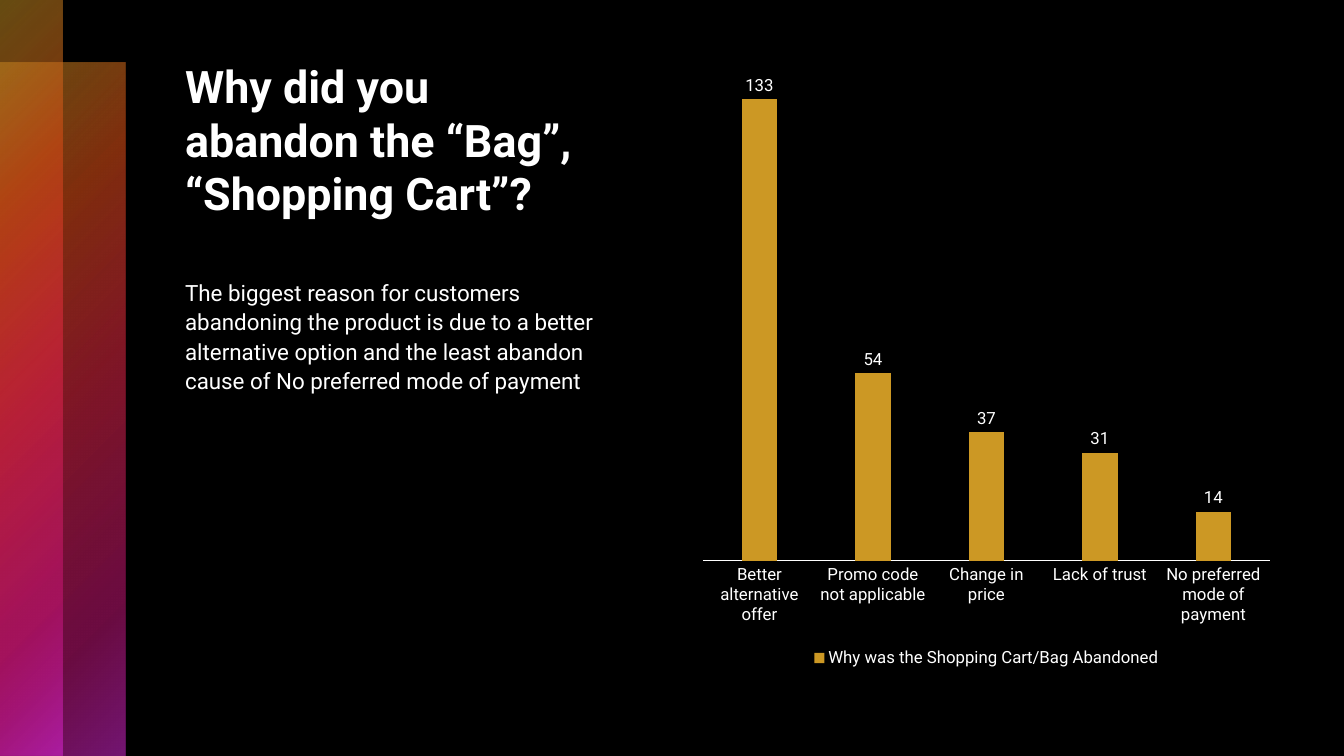
from lxml import etree
from pptx import Presentation
from pptx.chart.data import CategoryChartData
from pptx.dml.color import RGBColor
from pptx.enum.chart import XL_CHART_TYPE, XL_LABEL_POSITION, XL_LEGEND_POSITION, XL_TICK_MARK
from pptx.enum.shapes import MSO_SHAPE
from pptx.enum.text import MSO_ANCHOR, MSO_AUTO_SIZE, PP_ALIGN
from pptx.oxml.ns import qn
from pptx.util import Emu, Pt

COLUMN = XL_CHART_TYPE.COLUMN_CLUSTERED
OUTSIDE_END = XL_LABEL_POSITION.OUTSIDE_END
LEGEND_BOTTOM = XL_LEGEND_POSITION.BOTTOM
NO_TICK = XL_TICK_MARK.NONE
RECTANGLE = MSO_SHAPE.RECTANGLE
TOP, BOTTOM = MSO_ANCHOR.TOP, MSO_ANCHOR.BOTTOM
NO_AUTOFIT = MSO_AUTO_SIZE.NONE
LEFT = PP_ALIGN.LEFT

WIDTH, HEIGHT = 1344, 756
EMU_PER_PX = 12192000 / WIDTH
FONT = "Roboto"
COLORS = {
    "black": "000000",
    "white": "FFFFFF",
    "gold": "CC9824",
    "orange": "D54C17",
    "red": "E72944",
    "pink": "D51781",
    "magenta": "E729E2",
}


def px(length):
    return Emu(round(length * EMU_PER_PX))


def color(name):
    return RGBColor.from_string(COLORS[name])


class SlideBuilder:
    def __init__(self, deck):
        self.page = deck.slides.add_slide(deck.slide_layouts[1])
        fill = self.page.background.fill
        fill.solid()
        fill.fore_color.rgb = color("black")

    def style(self, font, size, bold=False):
        font.name = FONT
        font.size = Pt(size)
        font.bold = bold
        font.color.rgb = color("white")

    def text(self, index, area, words, size, anchor, bold=False, spacing=1.0, top_inset=5):
        box = self.page.placeholders[index]
        box.left, box.top, box.width, box.height = map(px, area)
        frame = box.text_frame
        frame.text = words
        frame.word_wrap = True
        frame.auto_size = NO_AUTOFIT
        frame.vertical_anchor = anchor
        frame.margin_top = px(top_inset)
        para = frame.paragraphs[0]
        para.alignment = LEFT
        para.line_spacing = spacing
        para.space_before = Pt(0)
        properties = para._p.get_or_add_pPr()
        properties.set("marL", "0")
        properties.set("indent", "0")
        etree.SubElement(properties, qn("a:buNone"))
        for span in para.runs:
            self.style(span.font, size, bold)

    def gradient_band(self, area, stops):
        band = self.page.shapes.add_shape(RECTANGLE, *map(px, area))
        band.shadow.inherit = False
        band.line.fill.background()
        gradient = etree.Element(qn("a:gradFill"), rotWithShape="1")
        stop_list = etree.SubElement(gradient, qn("a:gsLst"))
        for position, name, opacity in stops:
            stop = etree.SubElement(stop_list, qn("a:gs"), pos=str(position * 1000))
            tint = etree.SubElement(stop, qn("a:srgbClr"), val=COLORS[name])
            etree.SubElement(tint, qn("a:alpha"), val=str(opacity * 1000))
        circle = etree.SubElement(gradient, qn("a:path"), path="circle")
        etree.SubElement(circle, qn("a:fillToRect"), r="100000", b="100000")
        band.element.spPr.find(qn("a:prstGeom")).addnext(gradient)

    def column_chart(self, area, series_name, values):
        data = CategoryChartData()
        data.categories = list(values)
        data.add_series(series_name, list(values.values()))
        chart = self.page.shapes.add_chart(COLUMN, *map(px, area), data).chart
        chart.has_title = False
        self.style(chart.font, 10)

        chart.has_legend = True
        chart.legend.position = LEGEND_BOTTOM
        chart.legend.include_in_layout = False
        self.style(chart.legend.font, 12)

        chart.value_axis.visible = False
        chart.value_axis.has_major_gridlines = False
        axis = chart.category_axis
        axis.major_tick_mark = NO_TICK
        axis.format.line.color.rgb = color("white")
        axis.format.line.width = Pt(0.75)
        self.style(axis.tick_labels.font, 12)

        plot = chart.plots[0]
        plot.gap_width = 219
        plot.overlap = -27
        plot.vary_by_categories = False
        series = plot.series[0]
        series.format.fill.solid()
        series.format.fill.fore_color.rgb = color("gold")
        labels = series.data_labels
        labels.show_value = True
        labels.position = OUTSIDE_END
        self.style(labels.font, 12)


def main():
    deck = Presentation()
    deck.slide_width, deck.slide_height = px(WIDTH), px(HEIGHT)
    slide = SlideBuilder(deck)

    band_width = 63
    for columns, top, middle in ((2, band_width, 50), (1, 0, 49)):
        stops = (
            (0, "gold", 50),
            (25, "orange", 60),
            (middle, "red", 55),
            (81, "pink", 50),
            (99, "magenta", 50),
        )
        slide.gradient_band((0, top, columns * band_width, HEIGHT - top), stops)

    slide.text(0, (175, 50, 446, 175), "Why did you abandon the “Bag”, “Shopping Cart”?",
               32, BOTTOM, bold=True)
    slide.text(
        1, (175, 225, 446, 422),
        "The biggest reason for customers abandoning the product is due to a better "
        "alternative option and the least abandon cause of No preferred mode of payment",
        16, TOP, spacing=1.1, top_inset=51,
    )
    slide.column_chart(
        (691, 63, 591, 609),
        "Why was the Shopping Cart/Bag Abandoned",
        {
            "Better alternative offer": 133,
            "Promo code not applicable": 54,
            "Change in price": 37,
            "Lack of trust": 31,
            "No preferred mode of payment": 14,
        },
    )
    deck.save("out.pptx")


if __name__ == "__main__":
    main()
